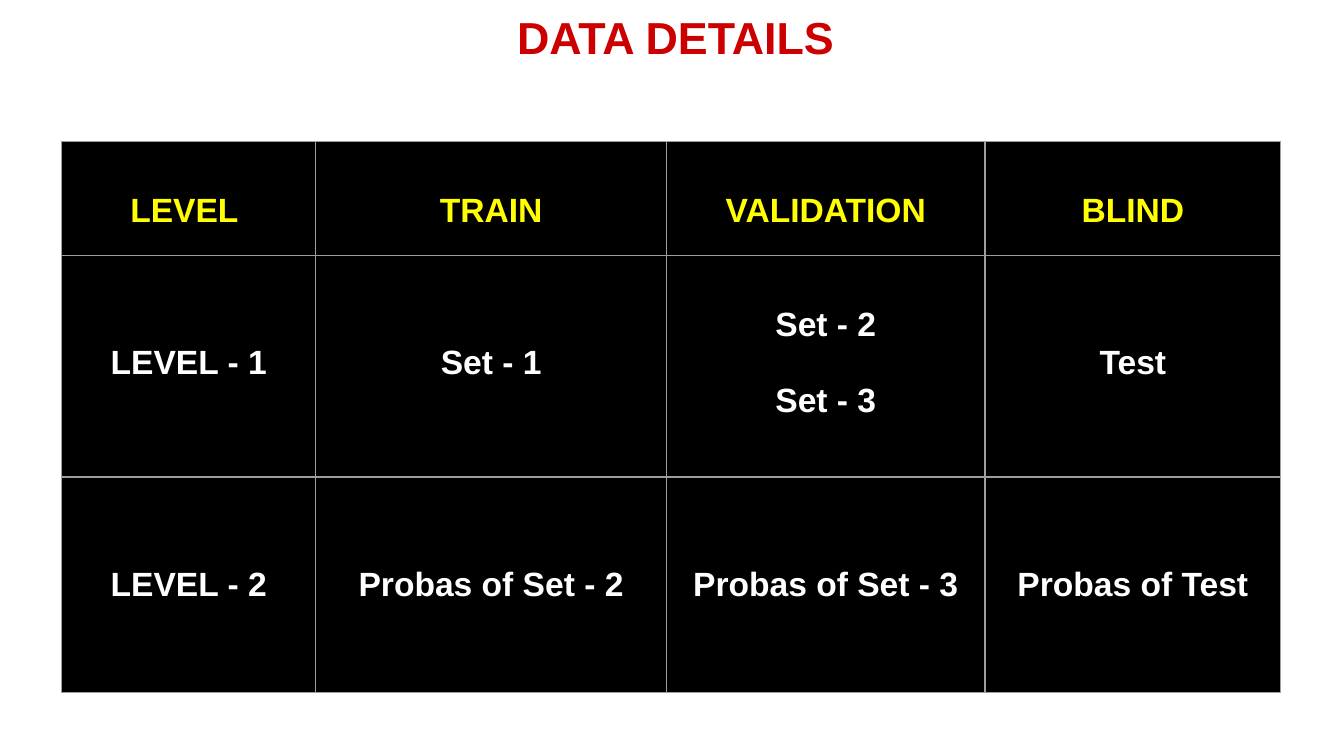
from pptx import Presentation
from pptx.dml.color import RGBColor
from pptx.enum import text as t
from pptx.oxml import parse_xml
from pptx.oxml.ns import nsdecls
from pptx.util import Inches, Pt

RED = RGBColor(0xCC, 0x00, 0x00)
YELLOW = RGBColor(0xFF, 0xFF, 0x00)
WHITE = RGBColor(0xFF, 0xFF, 0xFF)
BLACK = RGBColor(0x00, 0x00, 0x00)
GREY = RGBColor(0x9E, 0x9E, 0x9E)

INSET = 0.1
LINE_HEIGHT = 0.28
COLUMN_WIDTHS = [1.89, 2.61, 2.37, 2.2]
ROW_HEIGHTS = [0.85, 1.65, 1.6]
ROWS = [
    ["LEVEL ", "TRAIN", "VALIDATION", "BLIND"],
    ["LEVEL - 1", "Set - 1", "Set - 2\nSet - 3", "Test"],
    ["LEVEL - 2", "Probas of Set - 2", "Probas of Set - 3", "Probas of Test"],
]


def write_text(frame, content, *, size=18, color=WHITE, gap=0):
    """Fill a text frame with bold centred lines, gap inches apart."""
    frame.word_wrap = True
    frame.text = content
    for index, paragraph in enumerate(frame.paragraphs):
        paragraph.alignment = t.PP_ALIGN.CENTER
        if index:
            paragraph.space_before = Inches(gap)
        font = paragraph.runs[0].font
        font.name, font.size, font.bold = "Arial", Pt(size), True
        font.color.rgb = color


def set_borders(cell, color, width):
    """Draw the four edges of a table cell."""
    properties = cell._tc.get_or_add_tcPr()
    for index, edge in enumerate(("lnL", "lnR", "lnT", "lnB")):
        properties.insert(index, parse_xml(
            f'<a:{edge} {nsdecls("a")} w="{Pt(width)}"><a:solidFill>'
            f'<a:srgbClr val="{color}"/></a:solidFill></a:{edge}>'))


def add_title(slide, content, left, top, width, height):
    """Place the slide title at the top of the given box."""
    title = slide.shapes.title
    title.left, title.top = Inches(left), Inches(top)
    title.width, title.height = Inches(width), Inches(height)
    frame = title.text_frame
    frame.margin_left = frame.margin_right = Inches(INSET)
    frame.margin_top = frame.margin_bottom = Inches(INSET)
    frame.vertical_anchor = t.MSO_ANCHOR.TOP
    frame.auto_size = t.MSO_AUTO_SIZE.NONE
    write_text(frame, content, size=24, color=RED)


def format_cell(cell, content, is_header):
    """Write and style one cell, set down from its top by whole lines."""
    lines_above = 1 if is_header or "\n" in content else 2
    cell.margin_left = cell.margin_right = cell.margin_bottom = Inches(INSET)
    cell.margin_top = Inches(INSET + lines_above * LINE_HEIGHT)
    cell.vertical_anchor = t.MSO_ANCHOR.TOP
    cell.fill.solid()
    cell.fill.fore_color.rgb = BLACK
    set_borders(cell, GREY, 0.75)
    write_text(cell.text_frame, content,
               color=YELLOW if is_header else WHITE, gap=LINE_HEIGHT)


def add_data_table(slide, left, top):
    """Add the table of data sets with its corner at left, top."""
    table = slide.shapes.add_table(
        len(ROWS), len(COLUMN_WIDTHS), Inches(left), Inches(top),
        Inches(sum(COLUMN_WIDTHS)), Inches(sum(ROW_HEIGHTS))).table
    table.horz_banding = False
    for column, width in zip(table.columns, COLUMN_WIDTHS):
        column.width = Inches(width)
    for row_index, (row, height) in enumerate(zip(table.rows, ROW_HEIGHTS)):
        row.height = Inches(height)
        for cell, content in zip(row.cells, ROWS[row_index]):
            format_cell(cell, content, row_index == 0)


def main():
    """Build the 16:9 slide and save it."""
    presentation = Presentation()
    presentation.slide_width = Inches(10)
    presentation.slide_height = Inches(10) * 9 // 16
    slide = presentation.slides.add_slide(presentation.slide_layouts[5])
    add_title(slide, " DATA DETAILS", -0.02, -0.03, 10, 5.66)
    add_data_table(slide, 0.46, 1.05)
    presentation.save("out.pptx")


main()
